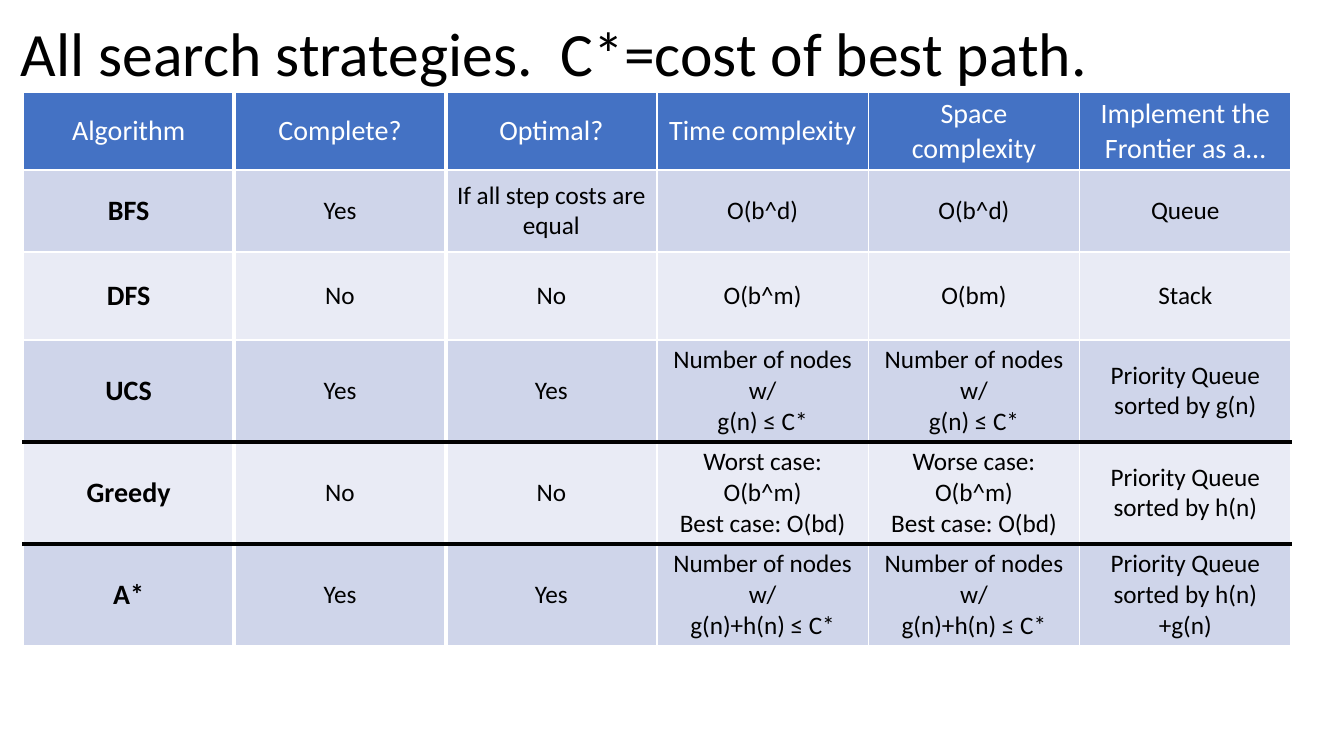
from lxml import etree
from pptx import Presentation
from pptx.dml.color import RGBColor
from pptx.enum.text import MSO_ANCHOR, PP_ALIGN
from pptx.oxml.ns import qn
from pptx.util import Pt

MIDDLE = MSO_ANCHOR.MIDDLE
LEFT, CENTER = PP_ALIGN.LEFT, PP_ALIGN.CENTER
SCALE = 914400 / 100.8
COLORS = {"head": "4472C4", "odd": "CFD5EA", "even": "E9EBF5",
          "white": "FFFFFF", "black": "000000"}
THIN, THICK = ("white", 1), ("white", 3)
RULE = ("black", 3)

TITLE = "All search strategies.  C*=cost of best path."
HEADS = ["Algorithm", "Complete?", "Optimal?", "Time complexity",
         "Space complexity", "Implement the Frontier as a…"]
UNIFORM = "Number of nodes w/\ng(n) ≤ C*"
GUIDED = "Number of nodes w/\ng(n)+h(n) ≤ C*"
ROWS = [
    HEADS,
    ["BFS", "Yes", "If all step costs are equal", "O(b^d)", "O(b^d)", "Queue"],
    ["DFS", "No", "No", "O(b^m)", "O(bm)", "Stack"],
    ["UCS", "Yes", "Yes", UNIFORM, UNIFORM, "Priority Queue sorted by g(n)"],
    ["Greedy", "No", "No", "Worst case: O(b^m)\nBest case: O(bd)",
     "Worse case: O(b^m)\nBest case: O(bd)", "Priority Queue sorted by h(n)"],
    ["A*", "Yes", "Yes", GUIDED, GUIDED, "Priority Queue sorted by h(n)+g(n)"],
]
HEIGHTS = [78, 82, 88, 102, 102, 102]
EDGES = {0: THIN, 4: RULE, 5: RULE}
SIDES = {1: THICK, 2: THICK}


def px(n):
    return round(n * SCALE)


def color(name):
    return RGBColor.from_string(COLORS[name])


def write(frame, text, align, tint, form):
    frame.text = text
    for para in frame.paragraphs:
        para.alignment = align
        for run in para.runs:
            run.font.color.rgb = color(tint)
            for key, value in form.items():
                setattr(run.font, key, value)


def border(cell, lines):
    props = cell._tc.get_or_add_tcPr()
    for i, (tag, (tint, width)) in enumerate(lines.items()):
        line = etree.Element(qn("a:" + tag), w=str(Pt(width)))
        fill = etree.SubElement(line, qn("a:solidFill"))
        etree.SubElement(fill, qn("a:srgbClr"), val=COLORS[tint])
        props.insert(i, line)


def title(slide, box):
    frame = slide.shapes.add_textbox(*map(px, box)).text_frame
    frame.word_wrap = True
    frame.vertical_anchor = MIDDLE
    write(frame, TITLE, LEFT, "black", {"name": "Calibri", "size": Pt(44)})
    frame.paragraphs[0].line_spacing = 0.9


def grid(slide, box):
    table = slide.shapes.add_table(len(ROWS), len(HEADS), *map(px, box)).table
    for key in ("first_row", "horz_banding"):
        setattr(table, key, False)
    for col in table.columns:
        col.width = px(box[2] / len(HEADS))
    for row, height in zip(table.rows, HEIGHTS):
        row.height = px(height)
    for r, texts in enumerate(ROWS):
        back = "head" if r == 0 else "odd" if r % 2 else "even"
        for c, text in enumerate(texts):
            cell = table.cell(r, c)
            cell.vertical_anchor = MIDDLE
            cell.fill.solid()
            cell.fill.fore_color.rgb = color(back)
            form = {"name": "Calibri", "size": Pt(20 if r == 0 or c == 0 else 18),
                    "bold": r > 0 and c == 0}
            write(cell.text_frame, text, CENTER, "black" if r else "white", form)
            border(cell, {"lnL": SIDES.get(c, THIN), "lnR": SIDES.get(c + 1, THIN),
                          "lnT": EDGES.get(r, THIN), "lnB": EDGES.get(r + 1, THIN)})


def main():
    deck = Presentation()
    deck.slide_width, deck.slide_height = px(1344), px(756)
    slide = deck.slides.add_slide(deck.slide_layouts[6])
    title(slide, (11, 9, 1103, 96))
    grid(slide, (23, 92, 1268, sum(HEIGHTS)))
    deck.save("out.pptx")


if __name__ == "__main__":
    main()
